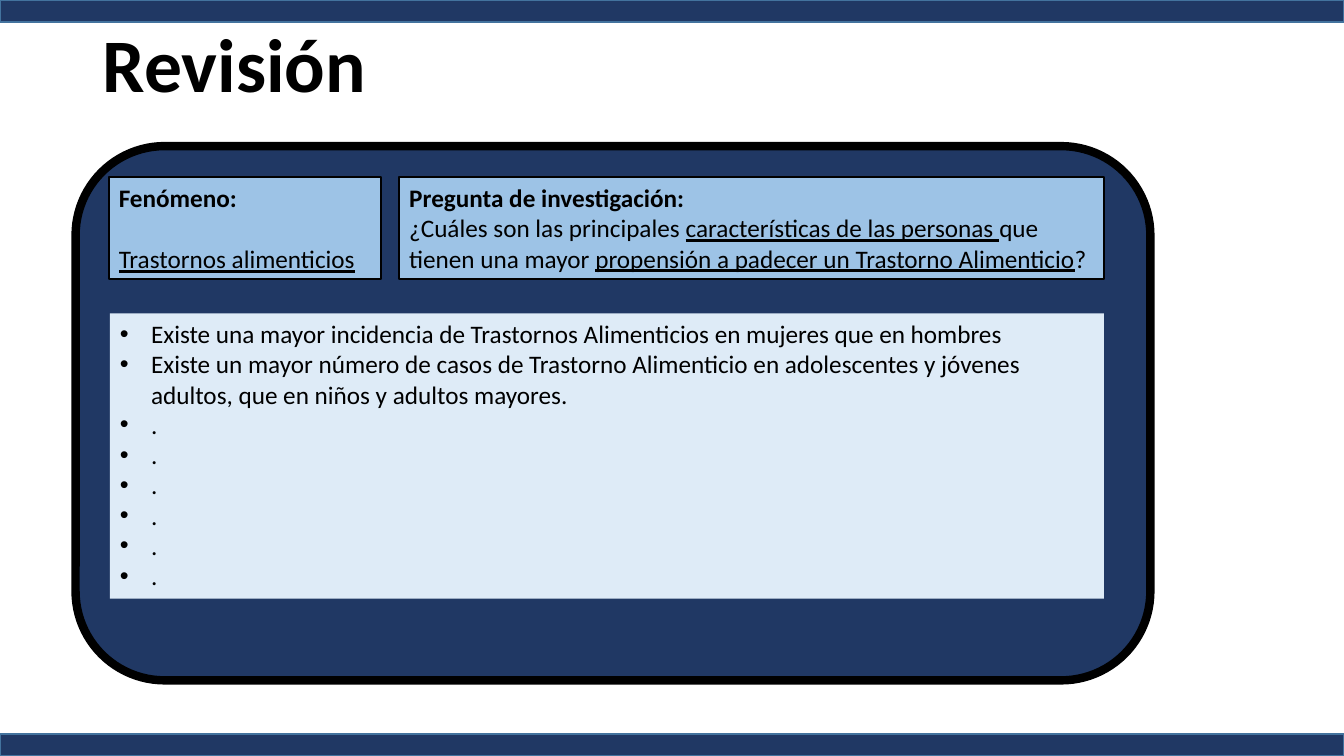
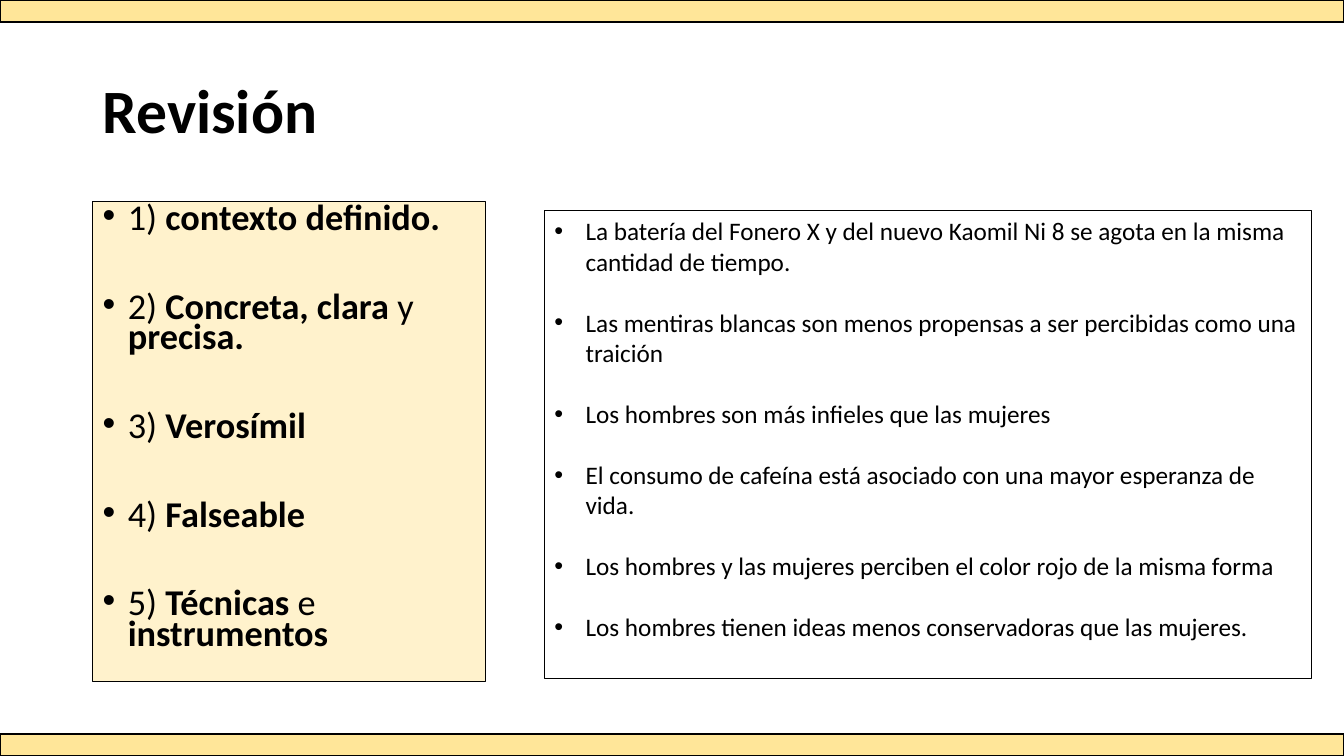
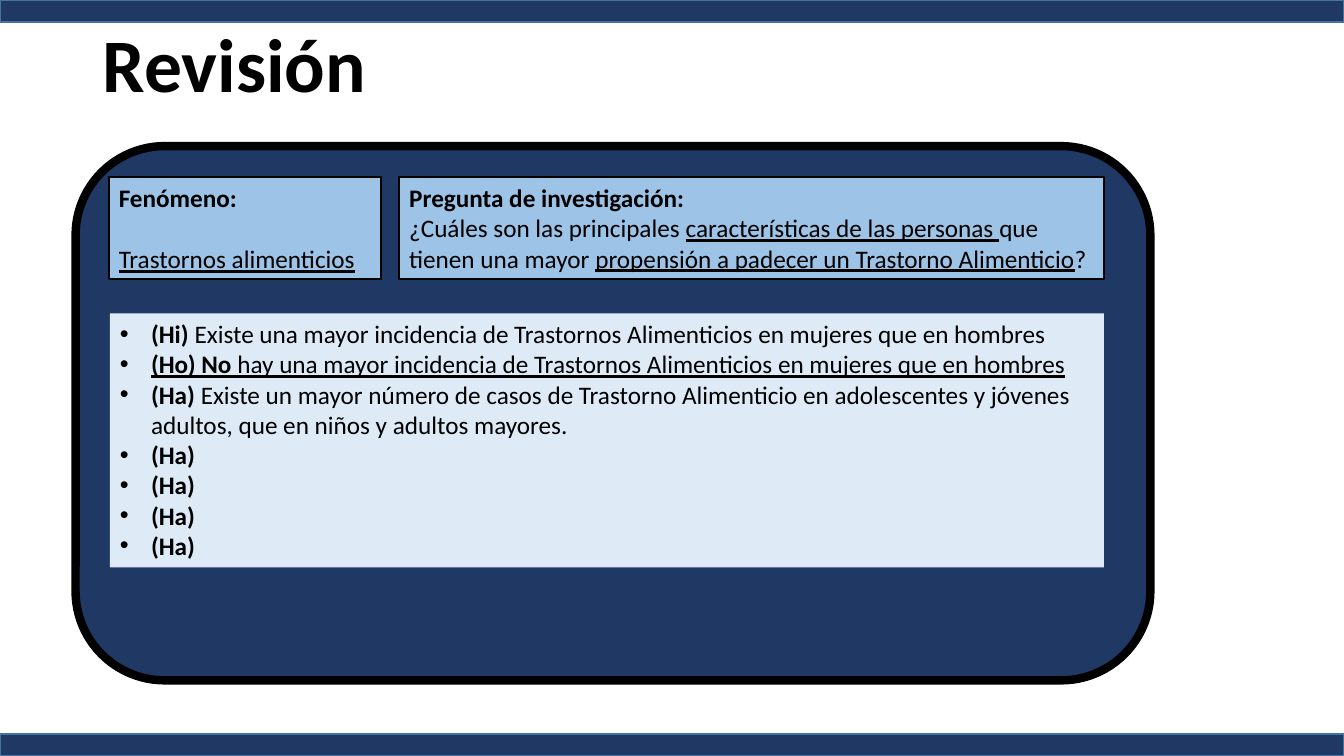
from lxml.etree import SubElement
from pptx import Presentation
from pptx.dml.color import RGBColor
from pptx.enum.shapes import MSO_SHAPE as SHAPE
from pptx.enum.text import MSO_ANCHOR as ANCHOR, PP_ALIGN as ALIGN
from pptx.oxml.ns import qn
from pptx.util import Inches, Pt

FONT = "Calibri"
C = {"black": "000000", "navy": "203864", "steel": "43739E", "sky": "9DC3E6",
     "ice": "DEEBF7", "gold": "FFE699", "cream": "FFF2CC"}
WIDTH, HEIGHT, BAND = 13.33, 7.5, 0.22
BLANK_LINE = 22

TITLE = "Revisión"
PHENOMENON = [[("Fenómeno:", "b")], [("Trastornos alimenticios", "u")]]
QUESTION = [
    [("Pregunta de investigación:", "b")],
    [("¿Cuáles son las principales ", ""), ("características de las personas ", "u"),
     ("que tienen una mayor ", ""),
     ("propensión a padecer un Trastorno Alimenticio", "u"), ("?", "")],
]
INCIDENCE = "Existe una mayor incidencia de Trastornos Alimenticios en mujeres que en hombres"
AGES = ("Existe un mayor número de casos de Trastorno Alimenticio en adolescentes "
        "y jóvenes adultos, que en niños y adultos mayores.")
STATEMENTS = [[(INCIDENCE, "")], [(AGES, "")]] + [[(".", "")]] * 6
HYPOTHESES = [
    [("(Hi) ", "b"), (INCIDENCE, "")],
    [("(Ho) No", "bu"),
     (" hay una mayor incidencia de Trastornos Alimenticios en mujeres que en hombres", "u")],
    [("(Ha) ", "b"), (AGES, "")],
] + [[("(Ha)", "b")]] * 4
CRITERIA = [
    [("1) ", ""), ("contexto definido.", "b")],
    [("2) ", ""), ("Concreta, clara ", "b"), ("y ", ""), ("precisa.", "b")],
    [("3) ", ""), ("Verosímil", "b")],
    [("4) ", ""), ("Falseable", "b")],
    [("5) ", ""), ("Técnicas ", "b"), ("e ", ""), ("instrumentos", "b")],
]
EXAMPLES = [[(text, "")] for text in (
    "La batería del Fonero X y del nuevo Kaomil Ni 8 se agota en la misma cantidad de tiempo.",
    "Las mentiras blancas son menos propensas a ser percibidas como una traición",
    "Los hombres son más infieles que las mujeres",
    "El consumo de cafeína está asociado con una mayor esperanza de vida.",
    "Los hombres y las mujeres perciben el color rojo de la misma forma",
    "Los hombres tienen ideas menos conservadoras que las mujeres.",
)]


def rgb(name):
    return RGBColor.from_string(C[name])


def add_box(s, at, fill=None, line=None, width=1, kind=SHAPE.RECTANGLE):
    sp = s.shapes.add_shape(kind, *map(Inches, at))
    sp.shadow.inherit = False
    if fill:
        sp.fill.solid()
        sp.fill.fore_color.rgb = rgb(fill)
    else:
        sp.fill.background()
    if line:
        sp.line.color.rgb = rgb(line)
        sp.line.width = Pt(width)
    else:
        sp.line.fill.background()
    return sp


def add_bullet(p, indent):
    pPr = p._p.get_or_add_pPr()
    pPr.set("marL", str(Inches(indent)))
    pPr.set("indent", str(-Inches(indent)))
    SubElement(pPr, qn("a:buFont")).set("typeface", "Arial")
    SubElement(pPr, qn("a:buChar")).set("char", "•")


def write(sp, paragraphs, size=18, indent=0, gap=0, spacing=None, anchor=ANCHOR.TOP):
    tf = sp.text_frame
    tf.word_wrap = True
    tf.vertical_anchor = anchor
    for i, runs in enumerate(paragraphs):
        p = tf.add_paragraph() if i else tf.paragraphs[0]
        if indent:
            add_bullet(p, indent)
        p.alignment = ALIGN.LEFT
        p.space_before = Pt(gap if i else 0)
        if spacing:
            p.line_spacing = spacing
        for text, style in runs:
            r = p.add_run()
            r.text = text
            r.font.name = FONT
            r.font.size = Pt(size)
            r.font.color.rgb = rgb("black")
            r.font.bold = "b" in style
            r.font.underline = "u" in style


def new_slide(prs, band, edge, title_top, title_height, title_size):
    s = prs.slides.add_slide(prs.slide_layouts[6])
    for top in (0, HEIGHT - BAND):
        add_box(s, (0, top, WIDTH, BAND), band, edge)
    title = s.shapes.add_textbox(*map(Inches, (0.92, title_top, 11.5, title_height)))
    write(title, [[(TITLE, "b")]], title_size, spacing=0.9, anchor=ANCHOR.MIDDLE)
    return s


def research_slide(prs, answers, answers_height):
    s = new_slide(prs, "navy", "steel", 0.21, 0.92, 54)
    add_box(s, (0.75, 1.45, 10.66, 5.3), "navy", "black", 6, SHAPE.ROUNDED_RECTANGLE)
    for left, width, text, gap in ((1.08, 2.7, PHENOMENON, BLANK_LINE),
                                   (3.96, 6.99, QUESTION, 0)):
        write(add_box(s, (left, 1.76, width, 1.01), "sky", "black", 1.5), text, gap=gap)
    write(add_box(s, (1.09, 3.11, 9.86, answers_height), "ice"), answers, indent=0.31)


def criteria_slide(prs):
    s = new_slide(prs, "gold", "black", 0.4, 1.45, 44)
    write(add_box(s, (0.92, 2, 3.9, 4.76), "cream", "black", 0.75),
          CRITERIA, 25.9, indent=0.25, gap=41.5, spacing=0.7)
    write(add_box(s, (5.4, 2.09, 7.61, 4.64), None, "black", 0.75),
          EXAMPLES, indent=0.31, gap=BLANK_LINE)


def main():
    prs = Presentation()
    prs.slide_width, prs.slide_height = Inches(WIDTH), Inches(HEIGHT)
    research_slide(prs, STATEMENTS, 2.83)
    criteria_slide(prs)
    research_slide(prs, HYPOTHESES, 2.52)
    prs.save("out.pptx")


if __name__ == "__main__":
    main()
